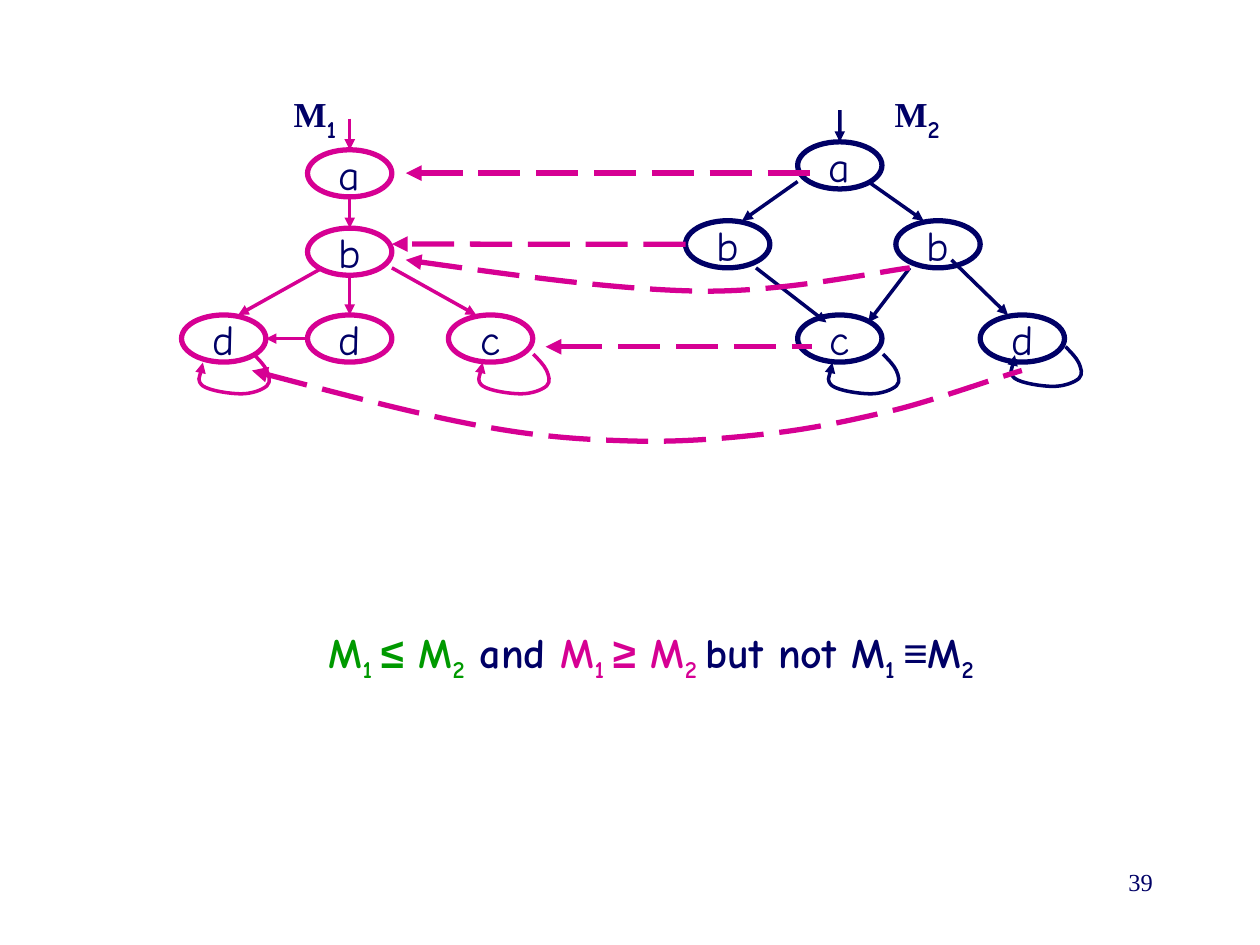
from lxml.etree import SubElement
from pptx import Presentation
from pptx.dml.color import RGBColor
from pptx.enum.dml import MSO_LINE
from pptx.enum.shapes import MSO_CONNECTOR, MSO_SHAPE
from pptx.enum.text import MSO_ANCHOR, PP_ALIGN
from pptx.oxml.ns import qn
from pptx.util import Cm, Pt

NAVY = RGBColor(0x00, 0x00, 0x66)
PINK = RGBColor(0xD6, 0x00, 0x93)
GREEN = RGBColor(0x00, 0x99, 0x00)
WHITE = RGBColor(0xFF, 0xFF, 0xFF)
COMIC, TIMES, ARIAL = "Comic Neue", "Times New Roman", "Arial"
TOP, LEFT, BASE, RIGHT = range(4)
WIDE, HIGH = 1.7, 0.95  # size of a state, in cm

# Self-loop relative to its start, in cm: start, then Bezier triples
LOOP = [(0, 0), (0.1, 0.1), (0.22, 0.22), (0.27, 0.33),
        (0.31, 0.43), (0.36, 0.55), (0.27, 0.64),
        (0.18, 0.72), (-0.03, 0.8), (-0.25, 0.8),
        (-0.46, 0.8), (-0.88, 0.74), (-1.02, 0.64),
        (-1.15, 0.53), (-1.02, 0.25), (-1.02, 0.17)]


def write(par, text, size=24, font=COMIC, color=NAVY, bold=False, sub=False):
    run = par.add_run()
    run.text = text
    run.font.size = Pt(size)
    run.font.name = font
    run.font.bold = bold
    run.font.color.rgb = color
    if sub:
        run._r.get_or_add_rPr().set("baseline", "-25000")


def add_text(slide, x, y, w, h, align=PP_ALIGN.CENTER):
    frame = slide.shapes.add_textbox(Cm(x), Cm(y), Cm(w), Cm(h)).text_frame
    frame.word_wrap = True
    par = frame.paragraphs[0]
    par.alignment = align
    return par


def add_state(slide, name, x, y, color):
    oval = slide.shapes.add_shape(
        MSO_SHAPE.OVAL, Cm(x), Cm(y), Cm(WIDE), Cm(HIGH))
    oval.shadow.inherit = False
    oval.fill.solid()
    oval.fill.fore_color.rgb = WHITE
    oval.line.color.rgb = color
    oval.line.width = Pt(3)
    frame = oval.text_frame
    frame.word_wrap = False
    frame.vertical_anchor = MSO_ANCHOR.MIDDLE
    frame.paragraphs[0].alignment = PP_ALIGN.CENTER
    write(frame.paragraphs[0], name)
    return oval


def style(line, color, dash, end):
    line.color.rgb = color
    line.width = Pt(3 if dash else 2)
    if dash:
        line.dash_style = MSO_LINE.LONG_DASH
    SubElement(line._get_or_add_ln(), qn(f"a:{end}End"), type="triangle")


def add_arrow(slide, start, stop, color, dash=False, end="tail"):
    """Each end is a point in cm, or a (state, side) pair to join."""
    link = slide.shapes.add_connector(MSO_CONNECTOR.STRAIGHT, 0, 0, 0, 0)
    if hasattr(start[0], "text_frame"):
        link.begin_connect(*start)
    else:
        link.begin_x, link.begin_y = map(Cm, start)
    if hasattr(stop[0], "text_frame"):
        link.end_connect(*stop)
    else:
        link.end_x, link.end_y = map(Cm, stop)
    style(link.line, color, dash, end)
    SubElement(link._element.spPr, qn("a:effectLst"))


def add_curve(slide, points, color, dash=False, end="tail"):
    first, *rest = [(Cm(x), Cm(y)) for x, y in points]
    pen = slide.shapes.build_freeform(*first)
    pen.add_line_segments(rest, close=False)
    shape = pen.convert_to_shape()
    # Turn each three line segments into one Bezier segment
    path = shape._element.find(".//" + qn("a:path"))
    steps = path.findall(qn("a:lnTo"))
    for i in range(0, len(steps), 3):
        bend = SubElement(path, qn("a:cubicBezTo"))
        for step in steps[i:i + 3]:
            bend.append(step[0])
            path.remove(step)
    shape.fill.background()
    style(shape.line, color, dash, end)
    shape.shadow.inherit = False


def add_loop(slide, x, y, color):
    add_curve(slide, [(x + dx, y + dy) for dx, dy in LOOP], color)


def add_label(slide, x, digit):
    par = add_text(slide, x, 1.6, 2.54, 1.42)
    write(par, "M", size=20, font=TIMES, bold=True)
    write(par, digit, bold=True, sub=True)


def draw_first(slide):
    add_label(slide, 5.08, "1")
    a, b, c, mid, far = [
        add_state(slide, name, x, y, PINK) for name, x, y in (
            ("a", 6.2, 3.02), ("b", 6.2, 4.6), ("c", 9.04, 6.35),
            ("d", 6.2, 6.35), ("d", 3.66, 6.35))]
    for start, stop in (
            ((7.05, 2.39), (a, TOP)), ((a, BASE), (b, TOP)),
            ((6.5, 5.4), (4.8, 6.35)), ((b, BASE), (mid, TOP)),
            ((7.9, 5.4), (9.6, 6.35)), ((mid, LEFT), (far, RIGHT))):
        add_arrow(slide, start, stop, PINK)
    for x in (5.11, 10.75):
        add_loop(slide, x, 7.14, PINK)


def draw_second(slide):
    add_label(slide, 17.22, "2")
    d, c, a, right, left = [
        add_state(slide, name, x, y, NAVY) for name, x, y in (
            ("d", 19.76, 6.35), ("c", 16.08, 6.35), ("a", 16.08, 2.86),
            ("b", 18.06, 4.45), ("b", 13.82, 4.45))]
    for start, stop in (
            ((16.08, 3.66), (14.96, 4.45)), ((17.5, 3.66), (18.62, 4.45)),
            ((15.24, 5.4), (16.66, 6.5)), ((18.34, 5.4), (17.5, 6.5)),
            ((19.18, 5.24), (20.32, 6.35)), ((16.93, 2.22), (a, TOP))):
        add_arrow(slide, start, stop, NAVY)
    add_loop(slide, 17.8, 7.14, NAVY)
    add_loop(slide, 21.48, 6.99, NAVY)
    return left


def draw_match(slide, b):
    dashed = {"color": PINK, "dash": True}
    add_arrow(slide, (8.18, 3.49), (16.36, 3.49), end="head", **dashed)
    add_arrow(slide, (11, 6.99), (16.36, 6.99), end="head", **dashed)
    add_arrow(slide, (b, LEFT), (7.9, 4.92), **dashed)
    add_curve(slide, [
        (8.18, 5.24), (10.3, 5.54), (12.42, 5.84), (14.12, 5.87),
        (15.8, 5.89), (17.63, 5.49), (18.34, 5.4)], end="head", **dashed)
    add_curve(slide, [
        (5.08, 7.47), (6.71, 7.9), (8.33, 8.33), (9.6, 8.57),
        (10.87, 8.81), (11.71, 8.86), (12.7, 8.89),
        (13.69, 8.92), (14.63, 8.84), (15.52, 8.74),
        (16.41, 8.64), (17.22, 8.46), (18.06, 8.26),
        (18.9, 8.05), (20.17, 7.59), (20.6, 7.47)], end="head", **dashed)


def add_claim(slide):
    par = add_text(slide, 2.97, 12.5, 20.32, 1.42)
    for lead, sign, last, color in (
            ("M", "≤", "2", GREEN), ("M", "≥", "2 ", PINK),
            ("but not M", "≡", "2", NAVY)):
        write(par, lead, color=color, bold=True)
        write(par, "1 ", color=color, bold=True, sub=True)
        write(par, sign, font=ARIAL, color=color, bold=True)
        write(par, "M" if sign == "≡" else " M", color=color, bold=True)
        write(par, last, color=color, bold=True, sub=True)
        if sign == "≤":
            write(par, " and ", bold=True)


def main():
    deck = Presentation()
    deck.slide_width, deck.slide_height = Cm(25.4), Cm(19.05)
    slide = deck.slides.add_slide(deck.slide_layouts[6])
    # The two structures
    draw_first(slide)
    left = draw_second(slide)
    # Matching states, claim and page number
    add_claim(slide)
    draw_match(slide, left)
    page = add_text(slide, 18.21, 17.35, 5.28, 1.27, PP_ALIGN.RIGHT)
    write(page, "39", size=14, font=TIMES)
    deck.save("out.pptx")


if __name__ == "__main__":
    main()
